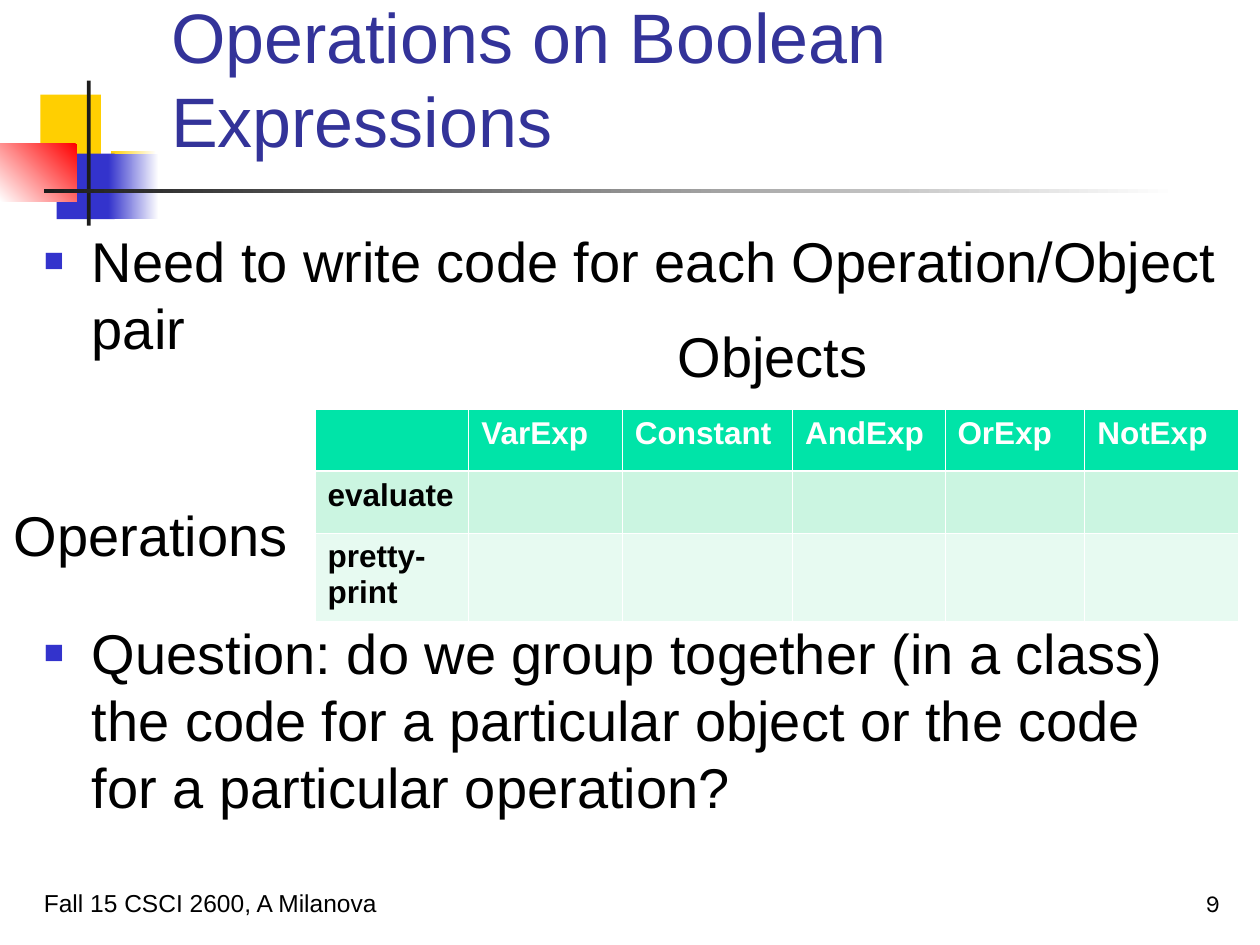
from lxml import etree
from pptx import Presentation
from pptx.dml.color import RGBColor
from pptx.enum.shapes import MSO_SHAPE
from pptx.enum.text import MSO_ANCHOR, PP_ALIGN
from pptx.oxml import parse_xml
from pptx.oxml.ns import nsdecls, qn
from pptx.util import Inches, Pt

WHITE, BLACK, BLUE, GOLD, DARK = "FFFFFF", "000000", "3333CC", "FFCF01", "1C1C1C"


def color(text):
    return RGBColor.from_string(text)


def inches(box):
    return [Inches(v) for v in box]


def style(para, text, size, tint=BLACK, **more):
    """Add one run with its font values."""
    run = para.add_run()
    run.text = text
    values = {"name": "Arial", "size": Pt(size), **more}
    for key, value in values.items():
        setattr(run.font, key, value)
    run.font.color.rgb = color(tint)


def frame(slide, box, anchor=MSO_ANCHOR.TOP):
    shape = slide.shapes.add_textbox(*inches(box))
    shape.text_frame.word_wrap = True
    shape.text_frame.vertical_anchor = anchor
    return shape.text_frame


def label(slide, box, text, size, tint=BLACK, anchor=MSO_ANCHOR.TOP,
          align=PP_ALIGN.LEFT, **more):
    para = frame(slide, box, anchor).paragraphs[0]
    para.alignment = align
    style(para, text, size, tint, **more)


def block(slide, box, tints, angle=180):
    """Draw a rectangle, plain for one tint and graded for two."""
    shape = slide.shapes.add_shape(MSO_SHAPE.RECTANGLE, *inches(box))
    shape.shadow.inherit = False
    shape.line.fill.background()
    if len(tints) == 1:
        shape.fill.solid()
        shape.fill.fore_color.rgb = color(tints[0])
        return
    shape.fill.gradient()
    shape.fill.gradient_angle = 360 - angle
    for stop, tint in zip(shape.fill.gradient_stops, tints):
        stop.color.rgb = color(tint)


def emblem(slide, left, top):
    """Corner squares with the upright bar and the title rule."""
    parts = [
        ((0.32, 0.11, 0.48, 0.52), [GOLD], 0),
        ((0.88, 0.56, 0.36, 0.52), [WHITE, GOLD], 180),
        ((0.45, 0.58, 0.46, 0.52), [BLUE], 0),
        ((0.86, 0.58, 0.4, 0.52), [WHITE, BLUE], 180),
        ((0, 0.5, 0.61, 0.46), ["FF0000", WHITE], 135),
        ((0.69, 0, 0.03, 1.15), [DARK], 0),
        ((0.35, 0.86, 9, 0.03), [WHITE, DARK], 180),
    ]
    for (x, y, w, h), tints, angle in parts:
        block(slide, (left + x, top + y, w, h), tints, angle)


def bullet(para):
    props = para._p.get_or_add_pPr()
    props.set("marL", str(Inches(0.38)))
    props.set("indent", str(-Inches(0.38)))
    tint = etree.SubElement(props, qn("a:buClr"))
    etree.SubElement(tint, qn("a:srgbClr"), val=BLUE)
    etree.SubElement(props, qn("a:buSzPct"), val="60000")
    etree.SubElement(props, qn("a:buFont"), typeface="Arial")
    etree.SubElement(props, qn("a:buChar"), char="■")


def body(slide, box, items):
    """Bullets; each item has its space before, which leaves room for the table."""
    text = frame(slide, box)
    for i, (words, gap) in enumerate(items):
        para = text.add_paragraph() if i else text.paragraphs[0]
        if gap:
            para.space_before = Pt(gap)
        bullet(para)
        style(para, words, 32)


def border(cell, widths):
    props = cell._tc.get_or_add_tcPr()
    for side, width in zip("LRTB", widths):
        props.append(parse_xml(
            f'<a:ln{side} {nsdecls("a")} w="{Pt(width)}"><a:solidFill>'
            f'<a:srgbClr val="{WHITE}"/></a:solidFill></a:ln{side}>'))


def matrix(slide, box, cols, rows, heads, names):
    """Grid of operations against objects."""
    grid = slide.shapes.add_table(len(rows), len(cols), *inches(box)).table
    grid.horz_banding = False
    for col, width in zip(grid.columns, cols):
        col.width = Inches(width)
    for row, height in zip(grid.rows, rows):
        row.height = Inches(height)
    fills = ["00E4A8", "CBF5E1", "E7FAF1"]
    thin, thick = 0.45, 1.47
    for r, fill in enumerate(fills):
        for c in range(len(cols)):
            cell = grid.cell(r, c)
            border(cell, (thin, thin, thick if r == 1 else thin,
                          thick if r == 0 else thin))
            cell.fill.solid()
            cell.fill.fore_color.rgb = color(fill)
            text = heads[c] if r == 0 else names[r - 1] if c == 0 else ""
            if text:
                style(cell.text_frame.paragraphs[0], text, 18,
                      BLACK if r else WHITE, bold=True)


def footer(slide, left, top, width):
    label(slide, (left, top, 5.17, 0.5), "Fall 15 CSCI 2600, A Milanova", 14,
          anchor=MSO_ANCHOR.BOTTOM)
    label(slide, (left + width - 2.08, top, 2.08, 0.5), "9", 14,
          anchor=MSO_ANCHOR.BOTTOM, align=PP_ALIGN.RIGHT, name="Karla")


def main():
    deck = Presentation()
    deck.slide_width, deck.slide_height = Inches(10), Inches(7.5)
    slide = deck.slides.add_slide(deck.slide_layouts[6])
    emblem(slide, 0, 0.64)
    label(slide, (1.26, 0.23, 8.52, 1.1), "Operations on Boolean Expressions",
          40, "333399", MSO_ANCHOR.BOTTOM)
    body(slide, (0.25, 1.75, 9.54, 4.96), [
        ("Need to write code for each Operation/Object pair", 0),
        ("Question: do we group together (in a class) the code for a "
         "particular object or the code for a particular operation?", 147),
    ])
    footer(slide, 0.25, 6.83, 9.53)
    matrix(slide, (2.5, 3.25, 7.33, 1.68),
           [1.22, 1.22, 1.35, 1.21, 1.11, 1.22], [0.49, 0.49, 0.7],
           ["", "VarExp", "Constant", "AndExp", "OrExp", "NotExp"],
           ["evaluate", "pretty- print"])
    # Axis names of the table
    label(slide, (5.28, 2.5, 1.8, 0.64), "Objects", 32)
    label(slide, (0.01, 3.92, 2.45, 0.64), "Operations", 32)
    deck.save("out.pptx")


if __name__ == "__main__":
    main()
